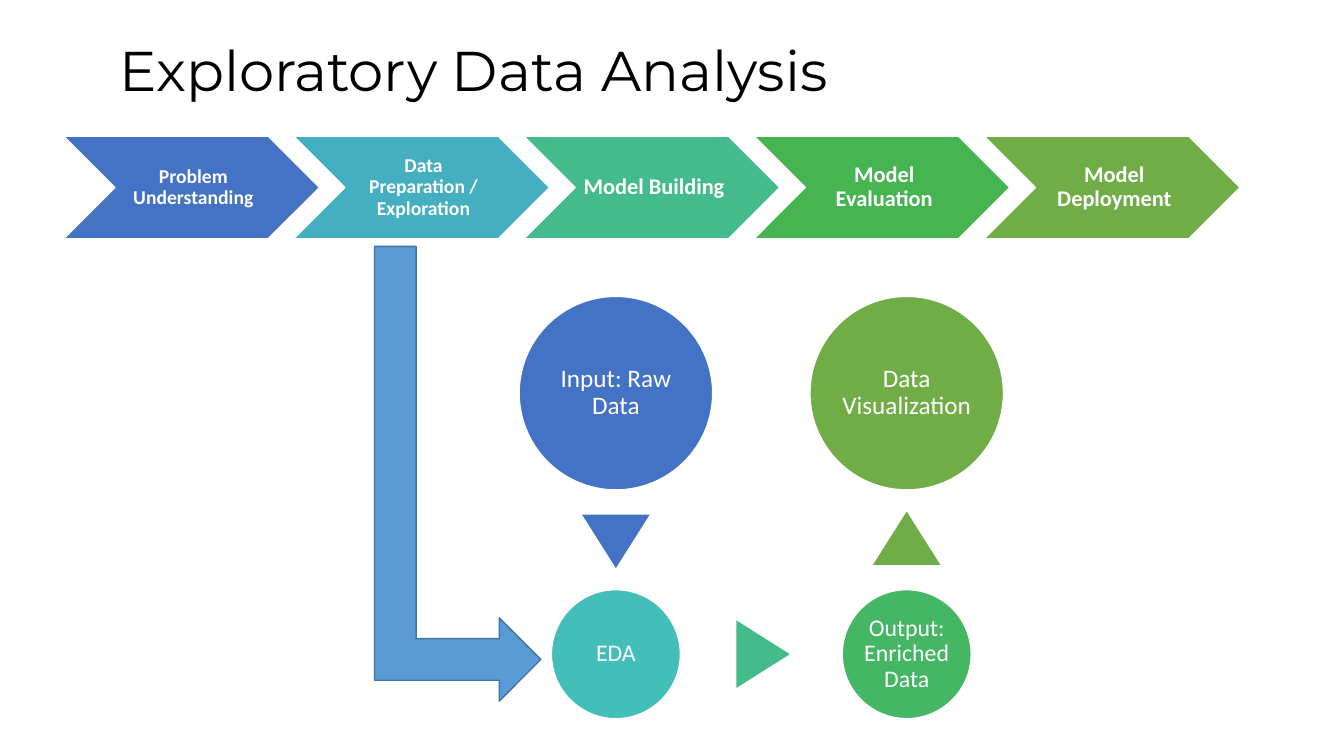
from pptx import Presentation
from pptx.dml.color import RGBColor
from pptx.enum.shapes import MSO_SHAPE
from pptx.enum.text import MSO_ANCHOR, PP_ALIGN
from pptx.util import Inches, Pt

CHEVRON, CIRCLE = MSO_SHAPE.CHEVRON, MSO_SHAPE.OVAL
TRIANGLE, BENT_ARROW = MSO_SHAPE.ISOSCELES_TRIANGLE, MSO_SHAPE.BENT_UP_ARROW
MIDDLE = MSO_ANCHOR.MIDDLE
LEFT, CENTER = PP_ALIGN.LEFT, PP_ALIGN.CENTER

COLORS = {
    "black": "000000", "white": "FFFFFF",
    "blue": "4472C4", "cyan": "43AFC0", "teal": "43BEB9", "mint": "43BB8D",
    "emerald": "45B664", "green": "45B451", "olive": "70AD47",
    "arrow": "5B9BD5", "arrow_edge": "43739E",
}

CELL = 0.1  # inches per grid column and row
COLUMNS, ROWS = 133.33, 75

STAGES = [
    ("Problem Understanding", "blue", 14),
    ("Data Preparation / Exploration", "cyan", 14),
    ("Model Building", "mint", 16),
    ("Model Evaluation", "green", 16),
    ("Model Deployment", "olive", 16),
]
STAGE_LEFT, STAGE_STEP = 6.3, 22.83

INPUT_COLUMN, OUTPUT_COLUMN = 61.1, 89.95
LARGE_ROW, SMALL_ROW = 39, 64.9
LARGE, SMALL = 19.2, 12.8

CIRCLES = [
    ("Input: Raw Data", "blue", INPUT_COLUMN, LARGE_ROW, LARGE, 18),
    ("EDA", "teal", INPUT_COLUMN, SMALL_ROW, SMALL, 17),
    ("Output: Enriched Data", "emerald", OUTPUT_COLUMN, SMALL_ROW, SMALL, 17),
    ("Data Visualization", "olive", OUTPUT_COLUMN, LARGE_ROW, LARGE, 18),
]
TRIANGLES = [
    ("blue", INPUT_COLUMN, 53.7, 180),
    ("mint", 75.7, SMALL_ROW, 90),
    ("olive", OUTPUT_COLUMN, 53.4, 0),
]


def grid(cells):
    return Inches(cells * CELL)


def rgb(name):
    return RGBColor.from_string(COLORS[name])


class SlideBuilder:
    """Holds the text style and the page being drawn; boxes are in grid cells."""

    def __init__(self, page, font="Calibri", line_spacing=0.9):
        self.page = page
        self.font = font
        self.line_spacing = line_spacing

    def set_text(self, box, text, size, color="white", font=None, bold=False, align=CENTER):
        frame = box.text_frame
        frame.word_wrap = True
        frame.vertical_anchor = MIDDLE
        frame.text = text
        para = frame.paragraphs[0]
        para.alignment = align
        para.line_spacing = self.line_spacing
        style = para.runs[0].font
        style.name = font or self.font
        style.size = Pt(size)
        style.bold = bold
        style.color.rgb = rgb(color)

    def set_margins(self, box, left, others):
        frame = box.text_frame
        frame.margin_left = grid(left)
        frame.margin_top = frame.margin_right = frame.margin_bottom = grid(others)

    def title(self, text, left, top, width, height):
        box = self.page.shapes.add_textbox(*map(grid, (left, top, width, height)))
        self.set_text(box, text, 40, "black", "Montserrat", align=LEFT)

    def shape(self, kind, center, middle, width, height, fill, edge=None, turn=0):
        """Place a shape by its centre, with an outline only if edge is named."""
        corner = center - width / 2, middle - height / 2
        box = self.page.shapes.add_shape(kind, *map(grid, (*corner, width, height)))
        box.shadow.inherit = False
        box.rotation = turn
        box.fill.solid()
        box.fill.fore_color.rgb = rgb(fill)
        if edge:
            box.line.color.rgb = rgb(edge)
            box.line.width = Pt(1)
        else:
            box.line.fill.background()
        return box

    def stage(self, text, fill, size, left):
        width, height = 25.4, 10.2
        box = self.shape(CHEVRON, left + width / 2, 18.6, width, height, fill, "white")
        self.set_margins(box, size / 24, 0.2)
        self.set_text(box, text, size, bold=True)

    def circle(self, text, fill, center, middle, diameter, size):
        box = self.shape(CIRCLE, center, middle, diameter, diameter, fill, "white")
        margin = diameter / 64
        self.set_margins(box, margin, margin)
        self.set_text(box, text, size)

    def triangle(self, fill, center, middle, turn):
        self.shape(TRIANGLE, center, middle, 6.7, 5.3, fill, turn=turn)


def main():
    deck = Presentation()
    deck.slide_width, deck.slide_height = grid(COLUMNS), grid(ROWS)
    builder = SlideBuilder(deck.slides.add_slide(deck.slide_layouts[6]))

    builder.title("Exploratory Data Analysis", 10.9, 0, 95.5, 14.5)
    for index, (text, fill, size) in enumerate(STAGES):
        builder.stage(text, fill, size, STAGE_LEFT + index * STAGE_STEP)
    for circle in CIRCLES:
        builder.circle(*circle)
    for triangle in TRIANGLES:
        builder.triangle(*triangle)
    builder.shape(BENT_ARROW, 45.4, 47, 45.1, 16.5, "arrow", "arrow_edge", turn=90)

    deck.save("out.pptx")


if __name__ == "__main__":
    main()
